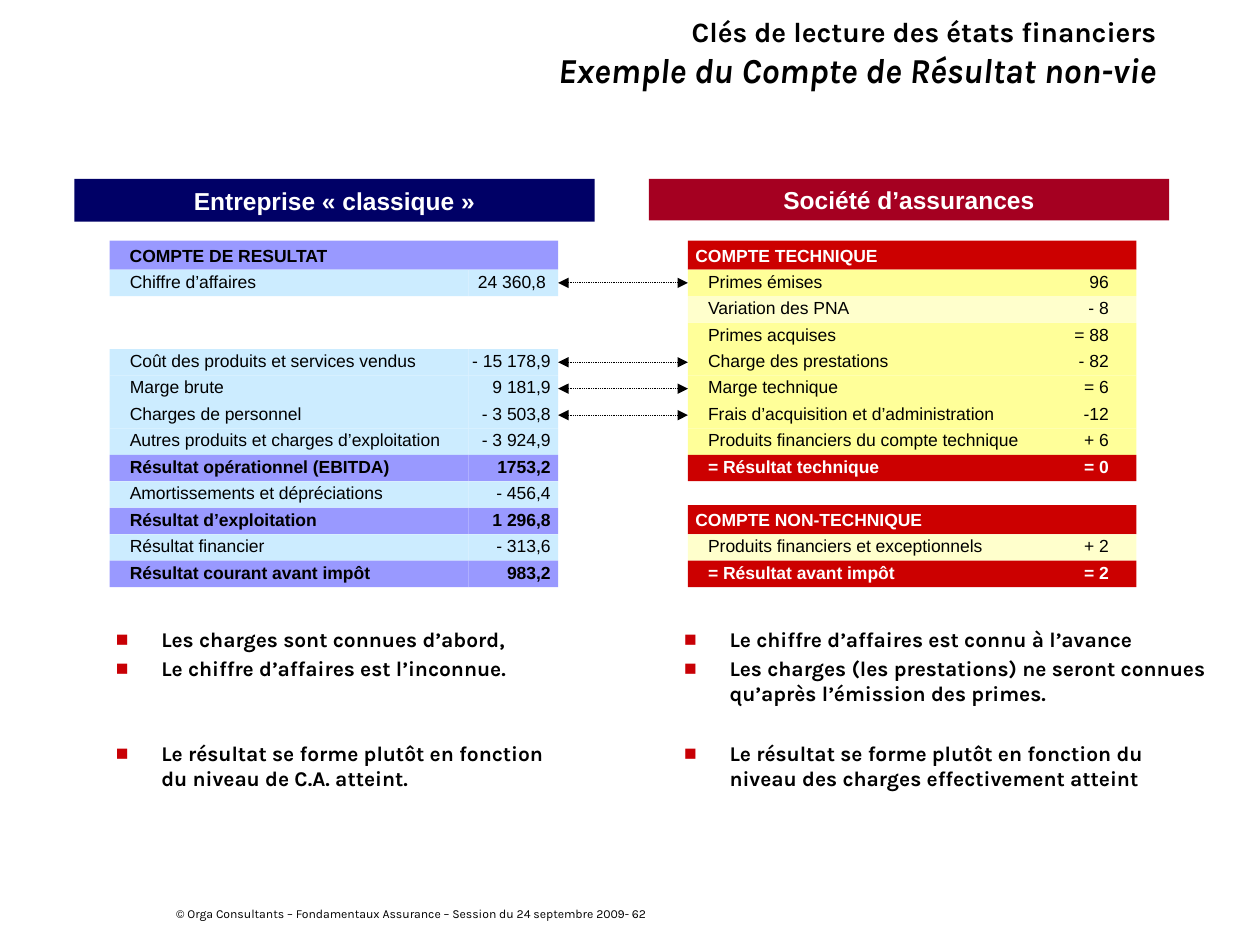
from lxml import etree
from pptx import Presentation
from pptx.dml.color import RGBColor
from pptx.enum.dml import MSO_LINE
from pptx.enum.shapes import MSO_CONNECTOR, MSO_SHAPE
from pptx.enum.text import MSO_ANCHOR, MSO_AUTO_SIZE, PP_ALIGN
from pptx.oxml.ns import qn
from pptx.util import Inches, Pt

RECT = MSO_SHAPE.RECTANGLE
LEFT, MID, RIGHT = PP_ALIGN.LEFT, PP_ALIGN.CENTER, PP_ALIGN.RIGHT
TOP, CENTRE = MSO_ANCHOR.TOP, MSO_ANCHOR.MIDDLE
NONE = MSO_AUTO_SIZE.NONE
DOTS = MSO_LINE.ROUND_DOT

prs = Presentation()
prs.slide_width, prs.slide_height = Inches(10), Inches(7.5)
slide = prs.slides.add_slide(prs.slide_layouts[3])
shapes = slide.shapes


def style(run, size, name, color="000000", bold=False):
    font = run.font
    font.size, font.name, font.bold = Pt(size), name, bold
    font.color.rgb = RGBColor.from_string(color)


def bar(text, at, fill, color, size=10, bold=True, align=LEFT, anchor=CENTRE,
        pads=(0.06, 0.05, 0.06, 0.05), space=1.0, wrap=True):
    box = shapes.add_shape(RECT, *[Inches(n) for n in at])
    box.shadow.inherit = False
    box.fill.solid()
    box.fill.fore_color.rgb = RGBColor.from_string(fill)
    box.line.fill.background()
    frame = box.text_frame
    frame.text = text
    frame.word_wrap, frame.vertical_anchor = wrap, anchor
    frame.margin_left, frame.margin_top, frame.margin_right, frame.margin_bottom = [
        Inches(n) for n in pads]
    para = frame.paragraphs[0]
    para.alignment, para.line_spacing = align, space
    style(para.runs[0], size, "Arial", color, bold)
    return box


title = shapes.title
title.left, title.top, title.width, title.height = [
    Inches(n) for n in (0.78, 0, 8.5, 0.83)]
frame = title.text_frame
frame.text = "Clés de lecture des états financiers\vExemple du Compte de Résultat non-vie"
frame.auto_size, frame.vertical_anchor = NONE, CENTRE
para = frame.paragraphs[0]
para.alignment = RIGHT
for run, size in zip(para.runs, (16, 20)):
    style(run, size, "Karla", bold=True)
para.runs[1].font.italic = True

lists = [
    (1, 0.82, 3.61, [
        ("Les charges sont connues d’abord,", 0),
        ("Le chiffre d’affaires est l’inconnue.", 2.4),
        ("Le résultat se forme plutôt en fonction du niveau de C.A. atteint.", 34)]),
    (2, 5.33, 4.42, [
        ("Le chiffre d’affaires est connu à l’avance", 0),
        ("Les charges (les prestations) ne seront connues qu’après l’émission des primes.", 2.4),
        ("Le résultat se forme plutôt en fonction du niveau des charges effectivement atteint", 19.5)]),
]
for idx, left, width, items in lists:
    body = slide.placeholders[idx]
    body.left, body.top, body.width, body.height = [
        Inches(n) for n in (left, 4.92, width, 1.77)]
    frame = body.text_frame
    frame.text = "\n".join(text for text, gap in items)
    frame.auto_size = NONE
    for para, (text, gap) in zip(frame.paragraphs, items):
        props = para._p.get_or_add_pPr()
        props.set("marL", str(Inches(0.36)))
        props.set("indent", str(-Inches(0.36)))
        tint = etree.SubElement(props, qn("a:buClr"))
        etree.SubElement(tint, qn("a:srgbClr"), val="C80005")
        etree.SubElement(props, qn("a:buChar"), char="■")
        para.space_before = Pt(gap)
        style(para.runs[0], 12, "Karla", bold=True)

bar("Entreprise «\u00a0classique\u00a0»".replace("\u00a0", " "), (0.59, 1.42, 4.13, 0.34),
    "000066", "FFFFFF", 14, align=MID, wrap=False)
bar("Société d’assurances", (5.15, 1.42, 4.13, 0.33),
    "A50021", "FFFFFF", 14, align=MID, wrap=False)

bar("COMPTE DE RESULTAT", (0.87, 1.91, 3.56, 0.23), "9999FF", "000000",
    pads=(0.16, 0.05, 0.06, 0.05))
bar("COMPTE TECHNIQUE", (5.46, 1.91, 3.56, 0.23), "CC0000", "FFFFFF")
bar("COMPTE NON-TECHNIQUE", (5.46, 4.01, 3.56, 0.23), "CC0000", "FFFFFF")

BLUE, VIOLET = "CCECFF", "9999FF"
CREAM, YELLOW, RED = "FFFFCC", "FFFF99", "CC0000"
firm = [
    (0, "Chiffre d’affaires", "24 360,8", BLUE),
    (3, "Coût des produits et services vendus", "- 15 178,9", BLUE),
    (4, "Marge brute", "9 181,9", BLUE),
    (5, "Charges de personnel", "- 3 503,8", BLUE),
    (6, "Autres produits et charges d’exploitation", "- 3 924,9", BLUE),
    (7, "Résultat opérationnel (EBITDA)", "1753,2", VIOLET),
    (8, "Amortissements et dépréciations", "- 456,4", BLUE),
    (9, "Résultat d’exploitation", "1 296,8", VIOLET),
    (10, "Résultat financier", "- 313,6", BLUE),
    (11, "Résultat courant avant impôt", "983,2", VIOLET),
]
cover = [
    (0, "Primes émises", "96", YELLOW),
    (1, "Variation des PNA", "- 8", CREAM),
    (2, "Primes acquises", "= 88", YELLOW),
    (3, "Charge des prestations", "- 82", YELLOW),
    (4, "Marge technique", "= 6", YELLOW),
    (5, "Frais d’acquisition et d’administration", "-12", YELLOW),
    (6, "Produits financiers du compte technique", "+ 6", YELLOW),
    (7, "= Résultat technique", "= 0", RED),
    (10, "Produits financiers et exceptionnels", "+ 2", CREAM),
    (11, "= Résultat avant impôt", "= 2", RED),
]
starts, ends = {}, {}
for left, rows, edge in ((0.87, firm, 0.06), (5.46, cover, 0.22)):
    for row, label, value, fill in rows:
        top = 2.14 + 0.21 * row
        bold = fill in (VIOLET, RED)
        color = "FFFFFF" if fill == RED else "000000"
        pad = 0.1 if value == "24 360,8" else edge
        name = bar(label, (left, top, 2.85, 0.21), fill, color, bold=bold,
                   anchor=TOP, pads=(0.16, 0.04, 0.06, 0.01), space=0.8)
        sum_box = bar(value, (left + 2.85, top, 0.71, 0.21), fill, color, bold=bold,
                      align=RIGHT, anchor=TOP, pads=(0.02, 0.04, pad, 0.01), space=0.8)
        if rows is firm:
            starts[row] = sum_box
        else:
            ends[row] = name

for row in (0, 3, 4, 5):
    link = shapes.add_connector(MSO_CONNECTOR.STRAIGHT, 0, 0, 0, 0)
    link.begin_connect(starts[row], 3)
    link.end_connect(ends[row], 1)
    link.line.color.rgb = RGBColor.from_string("000000")
    link.line.width, link.line.dash_style = Pt(0.5), DOTS
    for tip in ("a:headEnd", "a:tailEnd"):
        etree.SubElement(link.line._get_or_add_ln(), qn(tip), type="triangle")
    etree.SubElement(link._element.spPr, qn("a:effectLst"))

foot = shapes.add_textbox(*[Inches(n) for n in (1.3, 7.14, 7.09, 0.23)])
foot.text_frame.word_wrap = True
foot.text_frame.text = (
    "© Orga Consultants – Fondamentaux Assurance – Session du 24 septembre 2009- 62")
style(foot.text_frame.paragraphs[0].runs[0], 7, "Karla")

prs.save("out.pptx")
